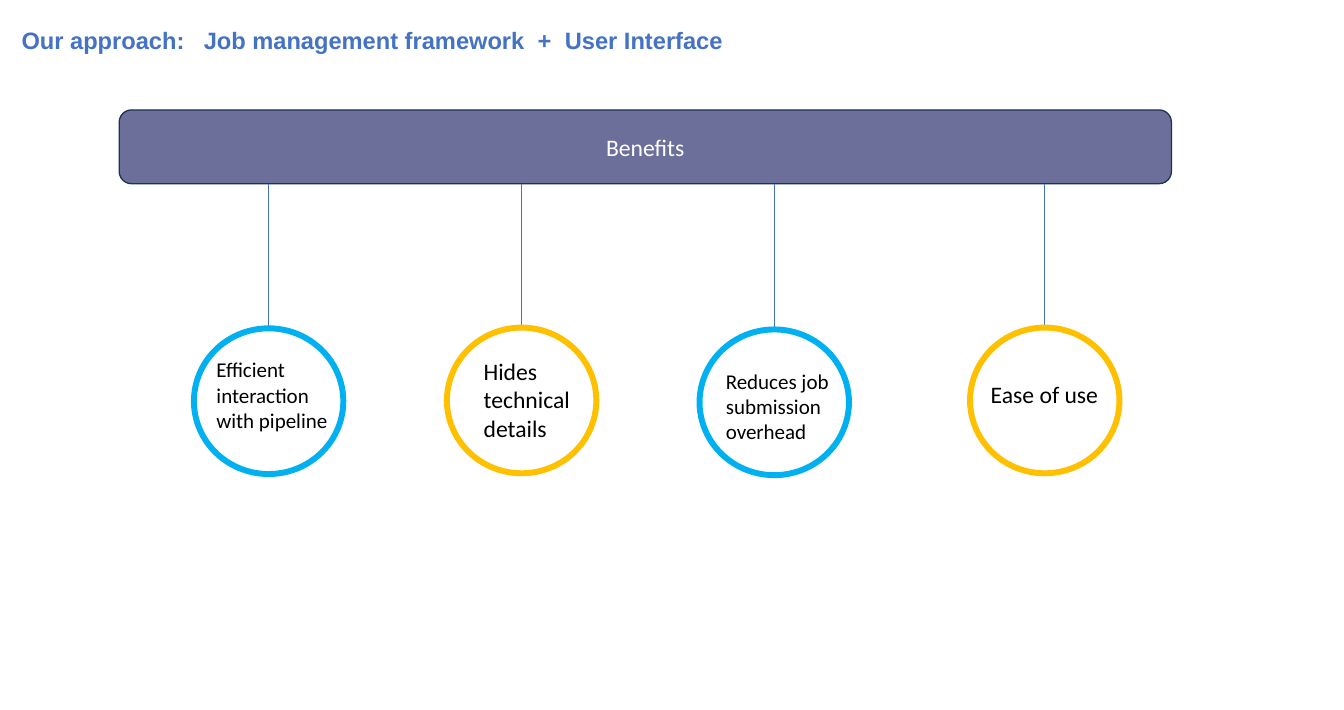
from lxml.etree import SubElement
from pptx import Presentation
from pptx.dml.color import RGBColor
from pptx.enum.shapes import MSO_CONNECTOR, MSO_SHAPE
from pptx.enum.text import MSO_ANCHOR, MSO_AUTO_SIZE, PP_ALIGN
from pptx.oxml.ns import qn
from pptx.util import Cm, Pt

WHITE = RGBColor(0xFF, 0xFF, 0xFF)
BLACK = RGBColor(0x00, 0x00, 0x00)
BLUE = RGBColor(0x44, 0x72, 0xC4)
SLATE = RGBColor(0x6D, 0x6F, 0x9B)
NAVY = RGBColor(0x1E, 0x32, 0x56)
CYAN = RGBColor(0x00, 0xB0, 0xF0)
AMBER = RGBColor(0xFF, 0xC0, 0x00)

CIRCLE_WIDTH, CIRCLE_HEIGHT = 4.01, 3.91
BAR_BOTTOM = 4.93

# Circle centre, circle top, ring colour, text size, text wraps, text place, lines
BENEFITS = [
    (7.21, 8.81, CYAN, 16, True, (5.56, 9.45, 4.01, 2.31),
     ["Efficient", "interaction", "with pipeline"]),
    (14.0, 8.79, AMBER, 18, True, (12.73, 9.45, 3.61, 2.57),
     ["Hides technical details"]),
    (20.78, 8.84, CYAN, 16, False, (19.23, 9.75, 3.45, 2.31),
     ["Reduces job", "submission", "overhead"]),
    (28.04, 8.79, AMBER, 18, False, (26.34, 10.08, 3.43, 1.02),
     ["Ease of use"]),
]


class BenefitsPage:
    def __init__(self, deck):
        self.page = deck.slides.add_slide(deck.slide_layouts[6])
        self.text_style = {"name": "Calibri", "size": Pt(18), "bold": False}

    def fill_text(self, box, lines, color, **changes):
        """Fill a box with one paragraph per line and return the paragraphs."""
        frame = box.text_frame
        frame.text = "\n".join(lines)
        for para in frame.paragraphs:
            for span in para.runs:
                for name, value in (self.text_style | changes).items():
                    setattr(span.font, name, value)
                span.font.color.rgb = color
        return frame.paragraphs

    def shape(self, kind, place, line_color, line_width, fill=None):
        box = self.page.shapes.add_shape(kind, *map(Cm, place))
        box.shadow.inherit = False
        box.line.color.rgb = line_color
        box.line.width = Pt(line_width)
        if fill is None:
            box.fill.background()
        else:
            box.fill.solid()
            box.fill.fore_color.rgb = fill
        return box

    def bar(self, place, text):
        box = self.shape(MSO_SHAPE.ROUNDED_RECTANGLE, place, NAVY, 1, SLATE)
        box.text_frame.vertical_anchor = MSO_ANCHOR.MIDDLE
        para, = self.fill_text(box, [text], WHITE)
        para.alignment = PP_ALIGN.CENTER

    def stem(self, x, top, bottom):
        line = self.page.shapes.add_connector(
            MSO_CONNECTOR.STRAIGHT, *map(Cm, (x, top, x, bottom)))
        line.line.color.rgb = BLUE
        line.line.width = Pt(0.5)
        SubElement(line._element.spPr, qn("a:effectLst"))

    def ring(self, center, top, color):
        place = (center - CIRCLE_WIDTH / 2, top, CIRCLE_WIDTH, CIRCLE_HEIGHT)
        self.shape(MSO_SHAPE.FLOWCHART_CONNECTOR, place, color, 4.5)

    def label(self, place, lines, size, wraps):
        box = self.page.shapes.add_textbox(*map(Cm, place))
        box.text_frame.word_wrap = wraps
        box.text_frame.auto_size = MSO_AUTO_SIZE.SHAPE_TO_FIT_TEXT
        self.fill_text(box, lines, BLACK, size=Pt(size))

    def title(self, place, text, tab_stops):
        box = self.page.shapes.add_textbox(*map(Cm, place))
        box.text_frame.word_wrap = True
        box.text_frame.vertical_anchor = MSO_ANCHOR.MIDDLE
        para, = self.fill_text(box, [text], BLUE, name="Arial", bold=True)
        para.line_spacing = 0.9
        tabs = SubElement(para._p.get_or_add_pPr(), qn("a:tabLst"))
        for stop in tab_stops:
            SubElement(tabs, qn("a:tab"), pos=str(Cm(stop)), algn="l")


def main():
    deck = Presentation()
    deck.slide_width, deck.slide_height = Cm(36.07), Cm(19.05)
    page = BenefitsPage(deck)
    page.bar((3.2, 2.95, 28.24, 1.98), "Benefits")
    for center, top, color, size, wraps, place, lines in BENEFITS:
        page.stem(center, BAR_BOTTOM, top)
        page.ring(center, top, color)
        page.label(place, lines, size, wraps)
    page.title((0.33, 0.46, 29.21, 1.32),
               "Our approach:\tJob management framework\t+\tUser Interface",
               (4.89, 13.85, 14.58))
    deck.save("out.pptx")


if __name__ == "__main__":
    main()
